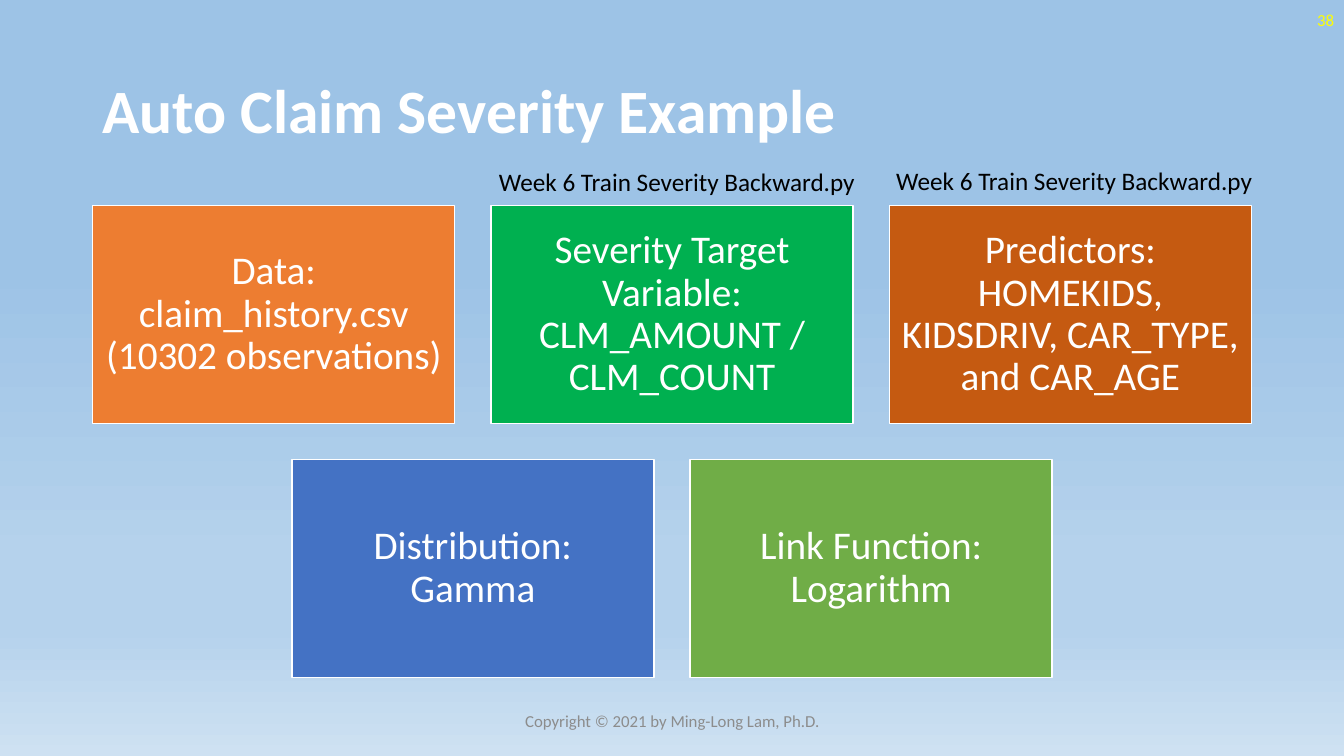
import pptx
import pptx.dml.color
import pptx.enum.shapes
import pptx.enum.text
import pptx.oxml
import pptx.oxml.ns
import pptx.util

PX = 9144  # EMU per px, 100 px to the inch
SLIDE_W, SLIDE_H = 1333, 750
CARD_W, CARD_H, GAP = 359, 216, 36
FONT = "Calibri"
ALIGN = pptx.enum.text.PP_ALIGN
ANCHOR = pptx.enum.text.MSO_ANCHOR

SKY = [(35, "9DC3E6"), (74, "B5D2EC"), (83, "B5D2EC"), (100, "CEE1F2")]
CARD_ROWS = [
    [("Data: claim_history.csv (10302 observations)", "ED7D31"),
     ("Severity Target Variable: CLM_AMOUNT / CLM_COUNT", "00B050"),
     ("Predictors: HOMEKIDS, KIDSDRIV, CAR_TYPE, and CAR_AGE", "C55A11")],
    [("Distribution:\nGamma", "4472C4"),
     ("Link Function: Logarithm", "70AD47")],
]
SCRIPT_NAME = "Week 6 Train Severity Backward.py"


def rgb(color):
    return pptx.dml.color.RGBColor.from_string(color)


def emu(*lengths):
    return [pptx.util.Emu(round(n * PX)) for n in lengths]


def write(sp, text, size, color, bold=False, align=ALIGN.LEFT,
          anchor=ANCHOR.MIDDLE, spacing=None, inset=None, wrap=True):
    tf = sp.text_frame
    tf.word_wrap = wrap
    tf.vertical_anchor = anchor
    if inset is not None:
        tf.margin_left, tf.margin_top, tf.margin_right, tf.margin_bottom = emu(*[inset] * 4)
    p = tf.paragraphs[0]
    p.text = text
    p.alignment = align
    if spacing:
        p.line_spacing = spacing
    for r in p.runs:
        r.font.name = FONT
        r.font.size = pptx.util.Pt(size)
        r.font.bold = bold
        r.font.color.rgb = rgb(color)


def add_text(slide, box, text, size, color, **fmt):
    write(slide.shapes.add_textbox(*emu(*box)), text, size, color, **fmt)


def paint_background(slide, stops):
    """Fill the slide with a gradient running from top to bottom."""
    fill = slide.background.fill
    fill.gradient()
    fill.gradient_angle = 270
    gs_list = next(slide.element.iter(pptx.oxml.ns.qn("a:gsLst")))
    for gs in list(gs_list):
        gs_list.remove(gs)
    for percent, color in stops:
        gs_list.append(pptx.oxml.parse_xml(
            f'<a:gs {pptx.oxml.ns.nsdecls("a")} pos="{percent * 1000}">'
            f'<a:srgbClr val="{color}"/></a:gs>'))


def add_card(slide, box, text, color):
    sp = slide.shapes.add_shape(pptx.enum.shapes.MSO_SHAPE.RECTANGLE, *emu(*box))
    sp.shadow.inherit = False
    sp.fill.solid()
    sp.fill.fore_color.rgb = rgb(color)
    sp.line.color.rgb = rgb("FFFFFF")
    sp.line.width = pptx.util.Pt(1)
    write(sp, text, 28, "FFFFFF", align=ALIGN.CENTER, spacing=0.9, inset=12)


def add_cards(slide, box):
    """Place the rows of cards, each row centred in the box."""
    left, top, width, _ = box
    for i, row in enumerate(CARD_ROWS):
        row_w = len(row) * (CARD_W + GAP) - GAP
        x0 = left + (width - row_w) / 2
        y = top + i * (CARD_H + GAP)
        for j, (text, color) in enumerate(row):
            add_card(slide, (x0 + j * (CARD_W + GAP), y, CARD_W, CARD_H), text, color)


def add_script_labels(slide, box):
    left, top, width, height = box
    for x, y in [(left, top + 1), (left + 394, top)]:
        add_text(slide, (x, y, width, height), SCRIPT_NAME, 18, "000000",
                 anchor=ANCHOR.TOP, wrap=False)


def build_slide(prs):
    slide = prs.slides.add_slide(prs.slide_layouts[6])
    paint_background(slide, SKY)
    add_text(slide, (92, 40, 1150, 145), "Auto Claim Severity Example", 44, "FFFFFF",
             bold=True, spacing=0.9)
    add_cards(slide, (92, 204, 1149, 468))
    add_text(slide, (1033, 0, 300, 40), "38", 12, "FFFF00", align=ALIGN.RIGHT)
    add_text(slide, (442, 695, 450, 40), "Copyright © 2021 by Ming-Long Lam, Ph.D.",
             12, "8C8C8C", align=ALIGN.CENTER)
    add_script_labels(slide, (485, 159, 377, 40))


def main():
    prs = pptx.Presentation()
    prs.slide_width, prs.slide_height = emu(SLIDE_W, SLIDE_H)
    build_slide(prs)
    prs.save("out.pptx")


if __name__ == "__main__":
    main()
